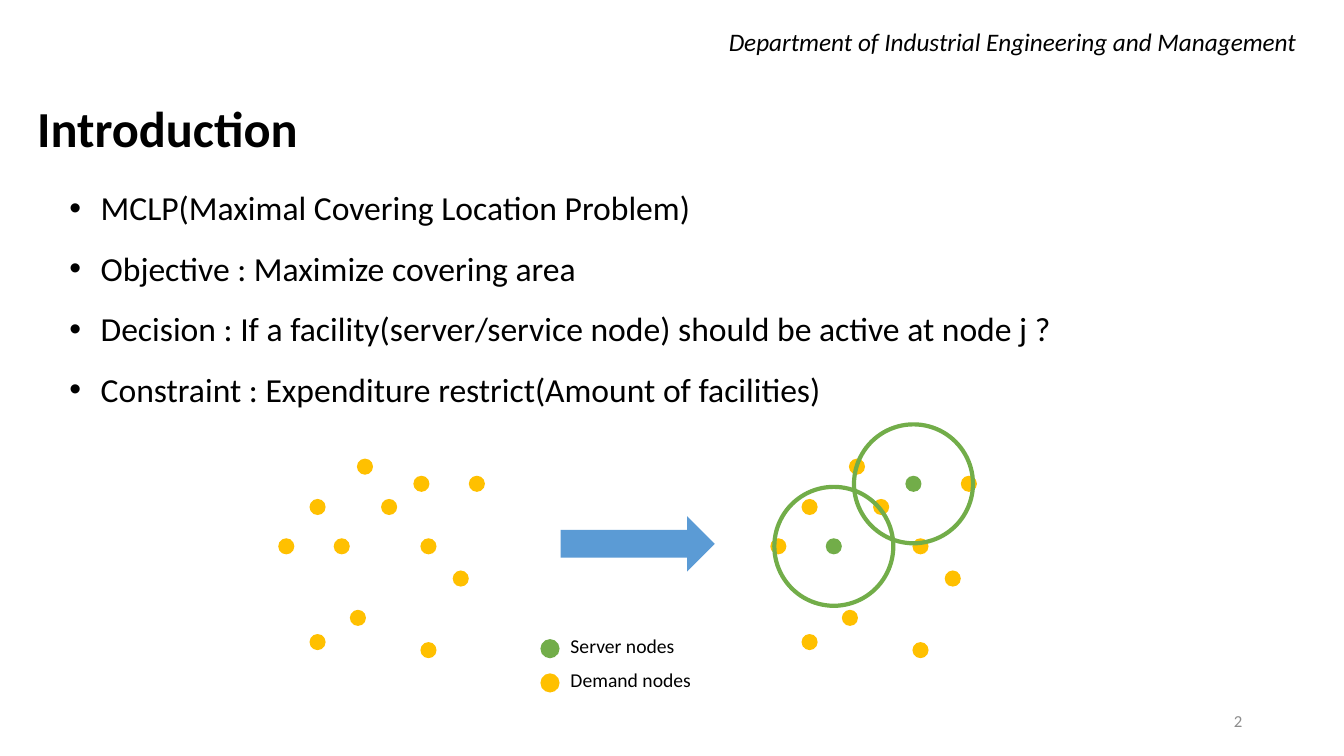
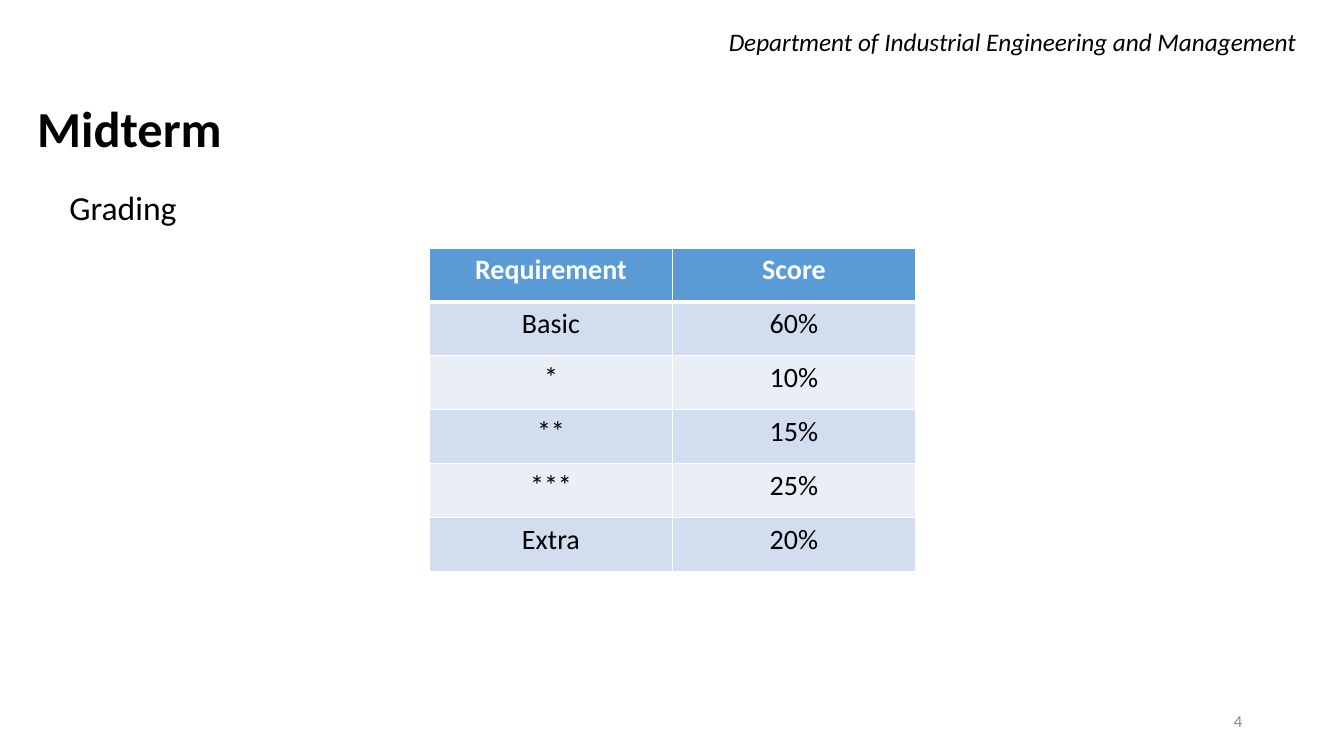
from lxml import etree
from pptx import Presentation
from pptx.dml.color import RGBColor
from pptx.enum.shapes import MSO_SHAPE
from pptx.enum.text import MSO_ANCHOR, MSO_AUTO_SIZE, PP_ALIGN
from pptx.oxml.ns import qn
from pptx.util import Inches, Pt

OVAL = MSO_SHAPE.OVAL
RIGHT_ARROW = MSO_SHAPE.RIGHT_ARROW
LEFT, CENTER, RIGHT = PP_ALIGN.LEFT, PP_ALIGN.CENTER, PP_ALIGN.RIGHT
TOP, MIDDLE = MSO_ANCHOR.TOP, MSO_ANCHOR.MIDDLE
FIT_SHAPE = MSO_AUTO_SIZE.SHAPE_TO_FIT_TEXT

FONT = "Calibri"
COLORS = {
    "text": "000000",
    "number": "8C8C8C",
    "white": "FFFFFF",
    "demand": "FFC000",
    "server": "72AD49",
    "accent": "5B9BD5",
    "band_dark": "D2DEEF",
    "band_light": "EAEFF7",
}

DEPARTMENT = "Department of Industrial Engineering and Management"
BULLETS = [
    "MCLP(Maximal Covering Location Problem)",
    "Objective : Maximize covering area",
    "Decision : If a facility(server/service node) should be active at node j ?",
    "Constraint : Expenditure restrict(Amount of facilities)",
]
GRADING = [
    ("Requirement", "Score"),
    ("Basic", "60%"),
    ("*", "10%"),
    ("**", "15%"),
    ("***", "25%"),
    ("Extra", "20%"),
]

# Left and top of each node in the network before servers are chosen.
NODES = [
    (3.54, 4.55), (3.07, 4.95), (3.47, 6.05), (4.10, 4.72),
    (3.78, 4.95), (4.65, 4.72), (4.17, 5.34), (4.17, 6.37),
    (2.76, 5.34), (3.07, 6.29), (4.49, 5.66), (3.31, 5.34),
]
SERVERS = [(3.31, 5.34), (4.10, 4.72)]
NODE_SIZE = 0.16
COVER_SIZE = 1.18
NETWORK_SHIFT = 4.88


def color(name):
    """Return the palette colour of that name."""
    return RGBColor.from_string(COLORS[name])


def style_paragraph(paragraph, size, color_name="text", align=LEFT,
                    bold=False, italic=False):
    """Set the alignment of a paragraph and the font of its runs."""
    paragraph.alignment = align
    for run in paragraph.runs:
        run.font.name = FONT
        run.font.size = Pt(size)
        run.font.color.rgb = color(color_name)
        run.font.bold = bold
        run.font.italic = italic


def add_text(slide, box, text, size, anchor=TOP, spacing=None, **style):
    """Add a wrapped text box, one paragraph per line of text."""
    shape = slide.shapes.add_textbox(*map(Inches, box))
    frame = shape.text_frame
    frame.word_wrap = True
    frame.vertical_anchor = anchor
    if anchor == TOP:
        frame.auto_size = FIT_SHAPE
    frame.text = text
    for paragraph in frame.paragraphs:
        paragraph.line_spacing = spacing
        style_paragraph(paragraph, size, **style)
    return shape


def add_bullets(shape):
    """Give every paragraph of a text shape a hanging bullet."""
    indent = Inches(0.31)
    for paragraph in shape.text_frame.paragraphs:
        properties = paragraph._p.get_or_add_pPr()
        properties.set("marL", str(indent))
        properties.set("indent", str(-indent))
        font = etree.SubElement(properties, qn("a:buFont"))
        font.set("typeface", "Arial")
        bullet = etree.SubElement(properties, qn("a:buChar"))
        bullet.set("char", "\u2022")


def add_filled(slide, kind, box, color_name):
    """Add a preset shape with a plain fill and no outline."""
    shape = slide.shapes.add_shape(kind, *map(Inches, box))
    shape.shadow.inherit = False
    shape.fill.solid()
    shape.fill.fore_color.rgb = color(color_name)
    shape.line.fill.background()


def add_cover_circle(slide, left, top):
    """Add the ring of coverage around the server node at left, top."""
    margin = (COVER_SIZE - NODE_SIZE) / 2
    box = (left - margin, top - margin, COVER_SIZE, COVER_SIZE)
    shape = slide.shapes.add_shape(OVAL, *map(Inches, box))
    shape.shadow.inherit = False
    shape.fill.background()
    shape.line.color.rgb = color("server")
    shape.line.width = Pt(3)


def add_network(slide, shift=0, servers=()):
    """Draw all nodes, then the coverage of those that are servers."""
    for left, top in NODES:
        kind = "server" if (left, top) in servers else "demand"
        add_filled(slide, OVAL, (left + shift, top, NODE_SIZE, NODE_SIZE), kind)
    for left, top in servers:
        add_cover_circle(slide, left + shift, top)


def add_legend_entry(slide, top, label, color_name):
    """Add a coloured dot and its label."""
    add_filled(slide, OVAL, (5.36, top + 0.1, 0.19, 0.19), color_name)
    add_text(slide, (5.56, top, 1.71, 0.34), label, 14)


def set_borders(cell, bottom_width):
    """Draw white cell borders, with the bottom one at its own width."""
    properties = cell._tc.get_or_add_tcPr()
    widths = {"lnL": 1, "lnR": 1, "lnT": 1, "lnB": bottom_width}
    for side, width in widths.items():
        line = etree.SubElement(properties, qn(f"a:{side}"))
        line.set("w", str(Pt(width)))
        fill = etree.SubElement(line, qn("a:solidFill"))
        etree.SubElement(fill, qn("a:srgbClr")).set("val", COLORS["white"])


def add_grading_table(slide):
    """Add the table of requirements and scores."""
    box = map(Inches, (4.26, 2.46, 4.82, 3.21))
    table = slide.shapes.add_table(len(GRADING), len(GRADING[0]), *box).table
    for row, values in enumerate(GRADING):
        header = row == 0
        band = "band_dark" if row % 2 else "band_light"
        for column, value in enumerate(values):
            cell = table.cell(row, column)
            cell.text = value
            style_paragraph(cell.text_frame.paragraphs[0], 20,
                            "white" if header else "text", CENTER, bold=header)
            # The header rule also meets the top edge of the first body row.
            set_borders(cell, 3 if header else 1)
            cell.fill.solid()
            cell.fill.fore_color.rgb = color("accent" if header else band)
    for column in range(len(GRADING[0])):
        top_line = table.cell(1, column)._tc.tcPr.find(qn("a:lnT"))
        top_line.set("w", str(Pt(3)))


def add_page(presentation, title, number):
    """Add a blank slide with the department line, title and number."""
    slide = presentation.slides.add_slide(presentation.slide_layouts[6])
    add_text(slide, (7.13, 0.21, 6, 0.4), DEPARTMENT, 18, italic=True)
    add_text(slide, (9.42, 6.95, 3, 0.4), str(number), 12, anchor=MIDDLE,
             color_name="number", align=RIGHT)
    add_text(slide, (0.27, 0.91, 3.7, 0.71), title, 36, bold=True)
    return slide


def build_introduction(presentation):
    """Build the slide that explains the covering problem."""
    slide = add_page(presentation, "Introduction", 2)
    body = add_text(slide, (0.59, 1.61, 10.16, 2.46), "\n".join(BULLETS), 24,
                    spacing=1.5)
    add_bullets(body)
    add_network(slide)
    add_network(slide, NETWORK_SHIFT, SERVERS)
    add_filled(slide, RIGHT_ARROW, (5.56, 5.12, 1.53, 0.55), "accent")
    add_legend_entry(slide, 6.24, "Server nodes", "server")
    add_legend_entry(slide, 6.58, "Demand nodes", "demand")


def build_midterm(presentation):
    """Build the slide with the grading table."""
    slide = add_page(presentation, "Midterm", 4)
    add_text(slide, (0.59, 1.61, 11.83, 0.64), "Grading", 24, spacing=1.5)
    add_grading_table(slide)


def main():
    """Build and save the presentation."""
    presentation = Presentation()
    presentation.slide_width = Inches(13.33)
    presentation.slide_height = Inches(7.5)
    build_introduction(presentation)
    build_midterm(presentation)
    presentation.save("out.pptx")


main()
